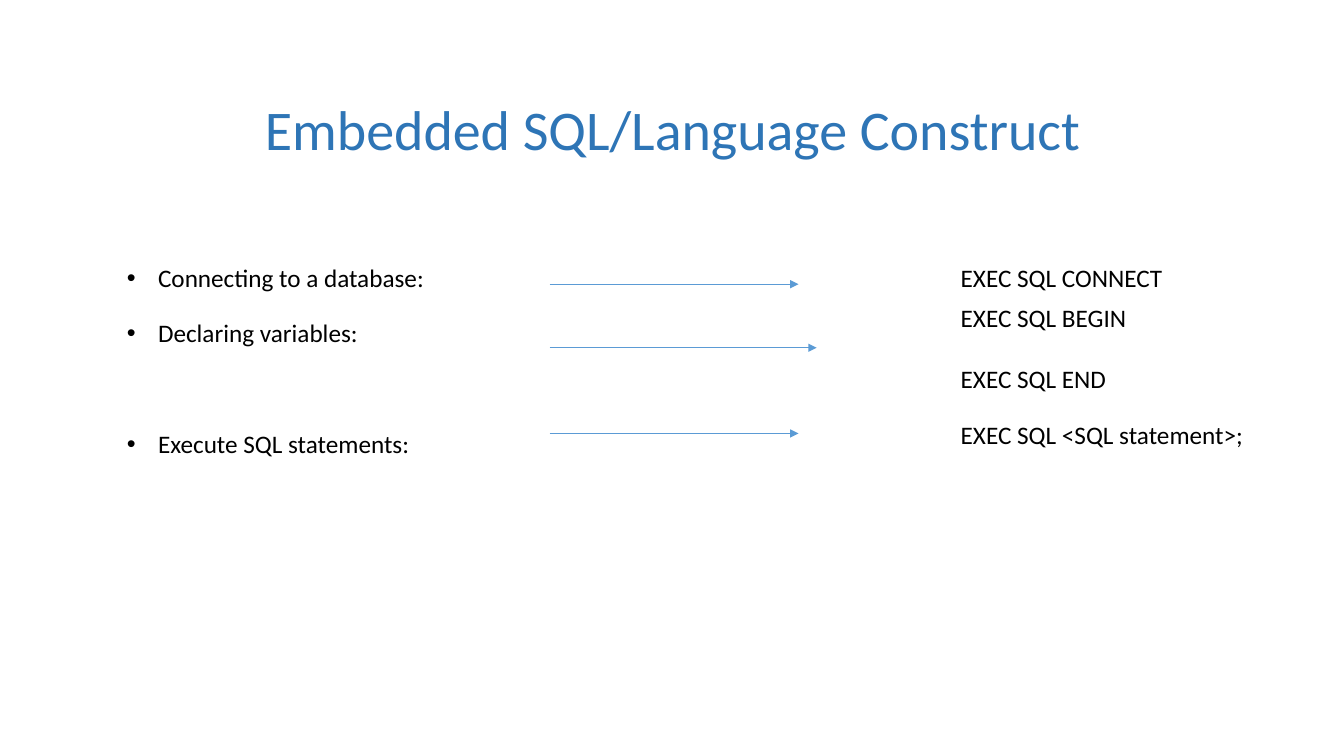
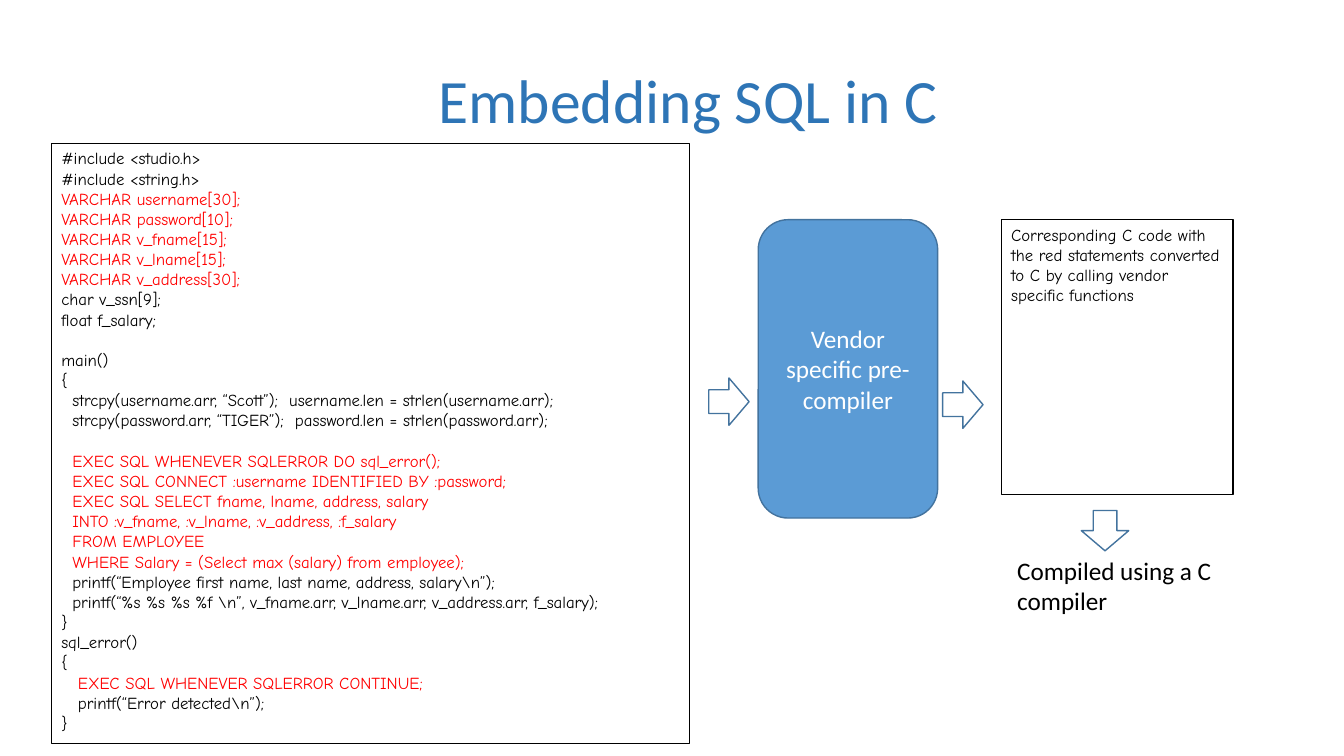
from lxml.etree import SubElement
from pptx import Presentation
from pptx.dml.color import RGBColor
from pptx.enum.shapes import MSO_CONNECTOR, MSO_SHAPE
from pptx.enum.text import MSO_ANCHOR, PP_ALIGN
from pptx.oxml.ns import qn
from pptx.util import Inches, Pt

COLORS = {"title": "2E75B6", "text": "000000", "sql": "FF0000",
          "blue": "5B9BD5", "edge": "43739E", "white": "FFFFFF"}
BODY, CODE = "Calibri", "Comic Neue"
CODE_SPACE = 0.055   # width of one space of code indent, in inches
CODE_LINE = 14.4     # height of one code line, in points

# text, points of space before
TASKS = [("Connecting to a database:", 0), ("Declaring variables:", 19.8),
         ("Execute SQL statements:", 59.3)]
# top, height, line spacing, paragraphs
COMMANDS = [
    (2.55, 0.4, 1, [("EXEC SQL CONNECT", 0)]),
    (2.95, 1.01, 1, [("EXEC SQL BEGIN", 0), ("EXEC SQL END", 22)]),
    (4.14, 0.37, 0.9, [("EXEC SQL <SQL statement>;", 0)]),
]
LINKS = [(2.82, 7.92), (3.45, 8.1), (4.3, 7.92)]  # y, right end

# colour, indent in spaces, blank lines before, lines
PROGRAM = [
    ("text", 0, 0, ["#include <studio.h>", "#include <string.h>"]),
    ("sql", 0, 0, ["VARCHAR username[30];", "VARCHAR password[10];",
                   "VARCHAR v_fname[15];", "VARCHAR v_lname[15];",
                   "VARCHAR v_address[30];"]),
    ("text", 0, 0, ["char v_ssn[9];", "float f_salary;"]),
    ("text", 0, 1, ["main()", "{"]),
    ("text", 2, 0, [
        "strcpy(username.arr, “Scott”);  username.len = strlen(username.arr);",
        "strcpy(password.arr, “TIGER”);  password.len = strlen(password.arr);"]),
    ("sql", 2, 1, ["EXEC SQL WHENEVER SQLERROR DO sql_error();",
                   "EXEC SQL CONNECT :username IDENTIFIED BY :password;",
                   "EXEC SQL SELECT fname, lname, address, salary",
                   "INTO :v_fname, :v_lname, :v_address, :f_salary",
                   "FROM EMPLOYEE",
                   "WHERE Salary = (Select max (salary) from employee);"]),
    ("text", 2, 0, [
        "printf(“Employee first name, last name, address, salary\\n”);",
        "printf(“%s %s %s %f \\n”, v_fname.arr, v_lname.arr, v_address.arr, f_salary);"]),
    ("text", 0, 0, ["}", "sql_error()", "{"]),
    ("sql", 3, 0, ["EXEC SQL WHENEVER SQLERROR CONTINUE;"]),
    ("text", 3, 0, ["printf(“Error detected\\n”);"]),
    ("text", 0, 0, ["}"]),
]
ARROWS = [(7.03, 3.75, 0), (9.35, 3.78, 0), (10.76, 5.03, 90)]  # left, top, rotation


def rgb(name):
    return RGBColor.from_string(COLORS[name])


def add_paragraph(tf, text, size=18, font=BODY, color="text", indent=0,
                  bullet=False, **formats):
    """Fill the first paragraph of tf while it is empty, else append one."""
    p = tf.paragraphs[0] if not tf.paragraphs[0].runs else tf.add_paragraph()
    for name, value in formats.items():
        setattr(p, name, value)
    r = p.add_run()
    r.text = text
    r.font.size, r.font.name = Pt(size), font
    r.font.color.rgb = rgb(color)
    pPr = p._p.get_or_add_pPr()
    if indent:
        pPr.set("marL", str(Inches(indent)))
    if bullet:
        pPr.set("indent", str(-Inches(indent)))
        SubElement(pPr, qn("a:buFont"), typeface="Arial")
        SubElement(pPr, qn("a:buChar"), char="•")


def add_text(s, box, anchor=MSO_ANCHOR.TOP):
    tf = s.shapes.add_textbox(*map(Inches, box)).text_frame
    tf.word_wrap, tf.vertical_anchor = True, anchor
    return tf


def add_title(s, text, left, top, size):
    tf = add_text(s, (left, top, 8.5, 1.21), MSO_ANCHOR.MIDDLE)
    add_paragraph(tf, text, size, color="title", alignment=PP_ALIGN.CENTER)


def add_box(s, kind, box, line, width, fill=None, anchor=MSO_ANCHOR.TOP):
    sp = s.shapes.add_shape(kind, *map(Inches, box))
    sp.shadow.inherit = False
    if fill:
        sp.fill.solid()
        sp.fill.fore_color.rgb = rgb(fill)
    else:
        sp.fill.background()
    sp.line.color.rgb, sp.line.width = rgb(line), Pt(width)
    sp.text_frame.word_wrap, sp.text_frame.vertical_anchor = True, anchor
    return sp


def add_link(s, y, right):
    link = s.shapes.add_connector(MSO_CONNECTOR.STRAIGHT, Inches(5.45), Inches(y),
                                  Inches(right), Inches(y))
    link.line.color.rgb, link.line.width = rgb("blue"), Pt(0.5)
    SubElement(link.line._get_or_add_ln(), qn("a:tailEnd"), type="triangle")
    SubElement(link._element.spPr, qn("a:effectLst"))


def build_constructs(s):
    add_title(s, "Embedded SQL/Language Construct", 2.42, 0.67, 40)
    tf = add_text(s, (1.16, 2.59, 4, 2.2))
    for text, gap in TASKS:
        add_paragraph(tf, text, indent=0.31, bullet=True, line_spacing=0.9,
                      space_before=Pt(gap))
    for top, height, spacing, lines in COMMANDS:
        tf = add_text(s, (9.43, top, 3.1, height))
        for text, gap in lines:
            add_paragraph(tf, text, line_spacing=spacing, space_before=Pt(gap))
    for y, right in LINKS:
        add_link(s, y, right)


def build_compilation(s):
    add_title(s, "Embedding SQL in C", 2.58, 0.38, 44)
    tf = add_box(s, MSO_SHAPE.RECTANGLE, (0.51, 1.42, 6.33, 5.96), "text", 0.75).text_frame
    for color, spaces, blanks, lines in PROGRAM:
        for i, text in enumerate(lines):
            gap = 0 if i else blanks * CODE_LINE
            add_paragraph(tf, text, 12, CODE, color, spaces * CODE_SPACE,
                          alignment=PP_ALIGN.LEFT, space_before=Pt(gap))

    compiler = add_box(s, MSO_SHAPE.ROUNDED_RECTANGLE, (7.52, 2.18, 1.78, 2.96),
                       "edge", 1, "blue", MSO_ANCHOR.MIDDLE)
    add_paragraph(compiler.text_frame, "Vendor specific pre-compiler", color="white",
                  alignment=PP_ALIGN.CENTER)
    result = add_box(s, MSO_SHAPE.RECTANGLE, (9.93, 2.18, 2.3, 2.73), "text", 0.75)
    add_paragraph(result.text_frame,
                  "Corresponding C code with the red statements converted to C "
                  "by calling vendor specific functions",
                  12, CODE, alignment=PP_ALIGN.LEFT)
    add_paragraph(add_text(s, (9.99, 5.46, 2.19, 0.71)), "Compiled using a C compiler")
    for left, top, rotation in ARROWS:
        arrow = add_box(s, MSO_SHAPE.RIGHT_ARROW, (left, top, 0.4, 0.47), "edge", 1)
        arrow.rotation = rotation


def main():
    prs = Presentation()
    prs.slide_width, prs.slide_height = Inches(13.33), Inches(7.5)
    for build in (build_constructs, build_compilation):
        build(prs.slides.add_slide(prs.slide_layouts[6]))
    prs.save("out.pptx")


if __name__ == "__main__":
    main()
